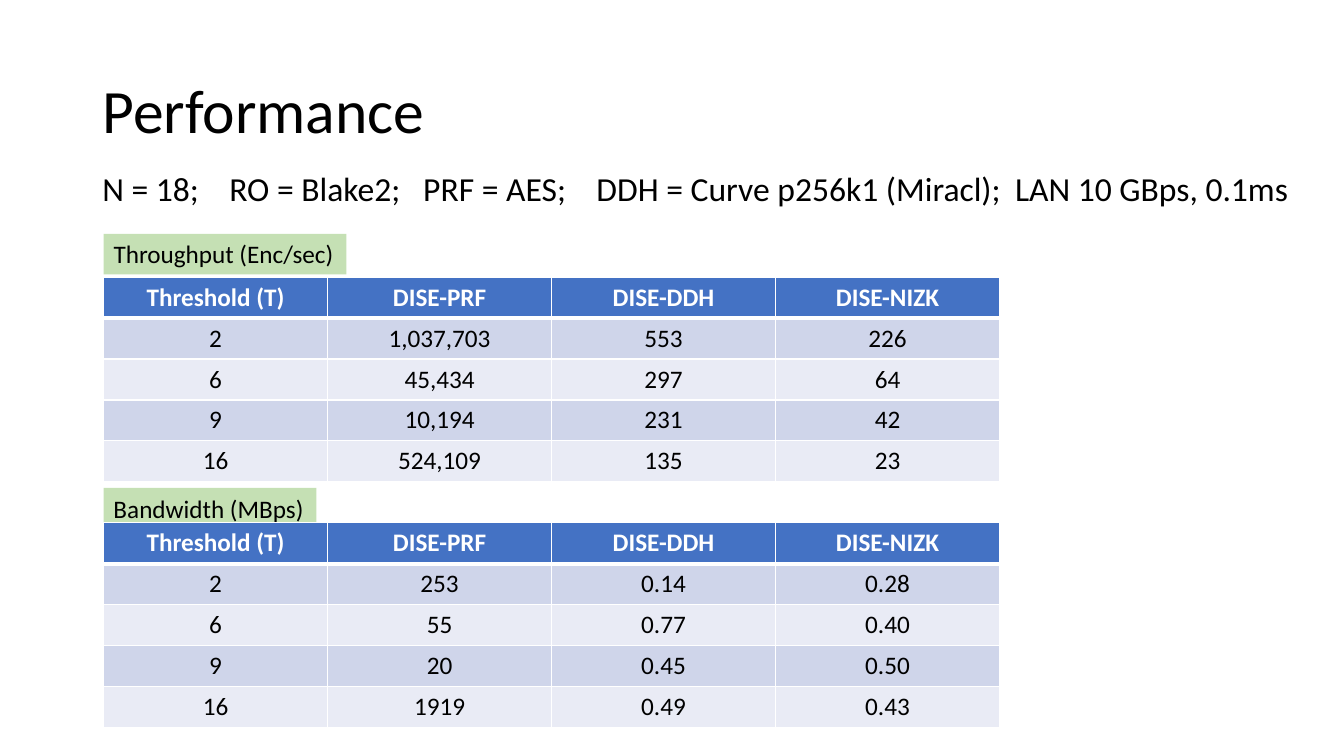
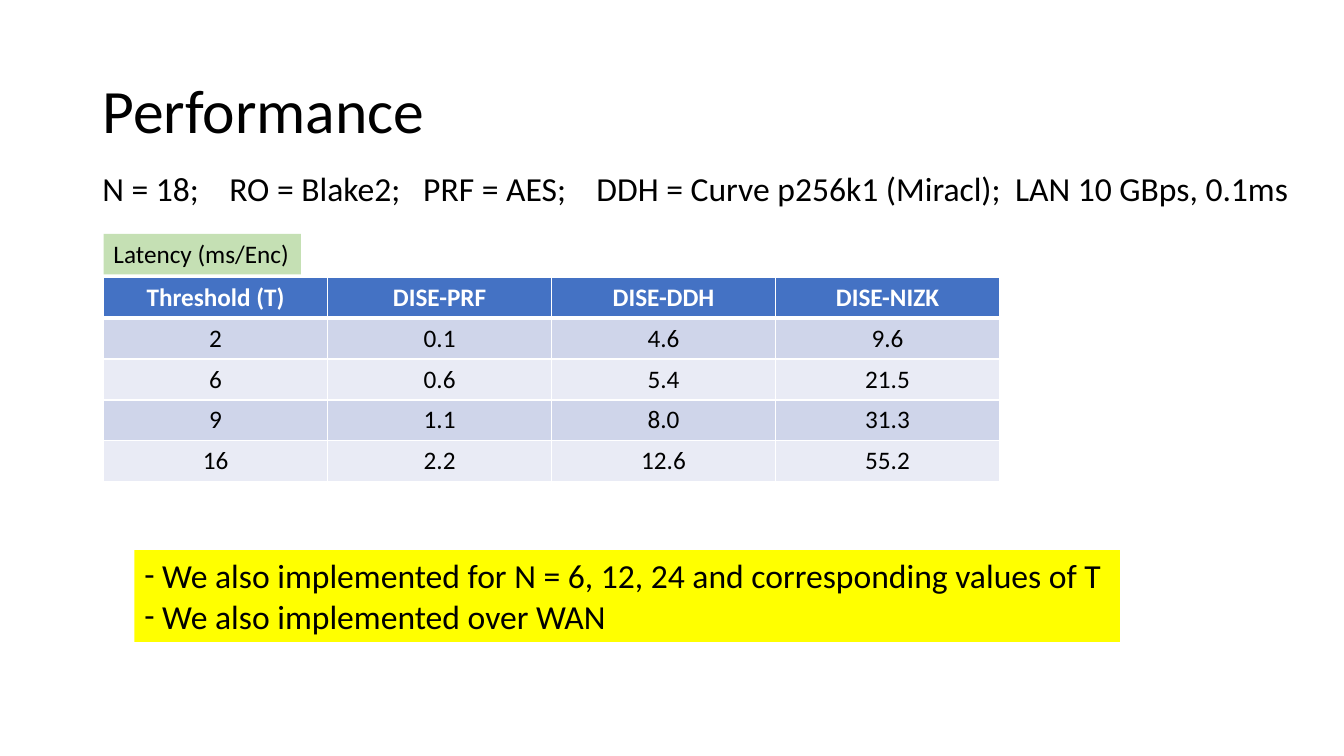
from lxml.etree import SubElement
from pptx import Presentation
from pptx.dml.color import RGBColor
from pptx.enum.shapes import MSO_SHAPE
from pptx.enum.text import MSO_ANCHOR, MSO_AUTO_SIZE, PP_ALIGN
from pptx.oxml import parse_xml
from pptx.oxml.ns import nsdecls, qn
from pptx.util import Pt

COLORS = {
    "ink": "000000", "white": "FFFFFF", "header": "4472C4", "odd": "CFD5EA",
    "even": "E9EBF5", "label": "C5E0B4", "note": "FFFF00",
}
FONT = "Calibri"
STYLES = {
    "title": {"size": Pt(44), "bold": False},
    "body": {"size": Pt(24), "bold": False},
    "label": {"size": Pt(18), "bold": False},
    "header": {"size": Pt(18), "bold": True},
}
LEFT, TABLE_W, ROW_H, LABEL_H = 74, 640, 29.25, 29
HEADERS = ["Threshold (T)", "DISE-PRF", "DISE-DDH", "DISE-NIZK"]
THRESHOLDS = ["2", "6", "9", "16"]
SETUP = ["N = 18;", "RO = Blake2;", "PRF = AES;",
         "DDH = Curve p256k1 (Miracl);", "LAN 10 GBps, 0.1ms"]
SETUP_TABS = [90.75, 229.25, 353, 652]
THROUGHPUT = [["1,037,703", "553", "226"], ["45,434", "297", "64"],
              ["10,194", "231", "42"], ["524,109", "135", "23"]]
BANDWIDTH = [["253", "0.14", "0.28"], ["55", "0.77", "0.40"],
             ["20", "0.45", "0.50"], ["1919", "0.49", "0.43"]]
LATENCY = [["0.1", "4.6", "9.6"], ["0.6", "5.4", "21.5"],
           ["1.1", "8.0", "31.3"], ["2.2", "12.6", "55.2"]]
NOTES = ["We also implemented for N = 6, 12, 24 and corresponding values of T",
         "We also implemented over WAN"]


def rgb(name):
    return RGBColor.from_string(COLORS[name])


def write(p, text, style, color="ink", align=PP_ALIGN.LEFT):
    p.alignment = align
    r = p.add_run()
    r.text = text
    for name, value in {"name": FONT, **STYLES[style]}.items():
        setattr(r.font, name, value)
    r.font.color.rgb = rgb(color)


def add_panel(slide, box, color):
    sp = slide.shapes.add_shape(MSO_SHAPE.RECTANGLE, *map(Pt, box))
    sp.shadow.inherit = False
    sp.fill.solid()
    sp.fill.fore_color.rgb = rgb(color)
    sp.line.fill.background()
    tf = sp.text_frame
    tf.word_wrap = True
    tf.vertical_anchor = MSO_ANCHOR.TOP
    return tf


def add_setup(slide, box):
    tf = slide.shapes.add_textbox(*map(Pt, box)).text_frame
    tf.word_wrap = True
    tf.margin_right = 0
    p = tf.paragraphs[0]
    tabs = SubElement(p._p.get_or_add_pPr(), qn("a:tabLst"))
    for pos in SETUP_TABS:
        SubElement(tabs, qn("a:tab"), pos=str(int(Pt(pos))), algn="l")
    write(p, "\t".join(SETUP), "body")


def add_slide(prs, title):
    slide = prs.slides.add_slide(prs.slide_layouts[5])
    sp = slide.shapes.title
    for name, value in {"left": 66, "top": 29, "width": 828, "height": 104}.items():
        setattr(sp, name, Pt(value))
    tf = sp.text_frame
    tf.auto_size = MSO_AUTO_SIZE.NONE
    tf.vertical_anchor = MSO_ANCHOR.MIDDLE
    p = tf.paragraphs[0]
    p.line_spacing = 0.9
    write(p, title, "title")
    add_setup(slide, (66, 116.75, 864, 36))
    return slide


def format_cell(cell, fill, widths):
    cell.fill.solid()
    cell.fill.fore_color.rgb = rgb(fill)
    tcPr = cell._tc.get_or_add_tcPr()
    for i, (side, width) in enumerate(widths.items()):
        tcPr.insert(i, parse_xml(
            f'<a:ln{side} {nsdecls("a")} w="{int(Pt(width))}"><a:solidFill>'
            f'<a:srgbClr val="{COLORS["white"]}"/></a:solidFill></a:ln{side}>'))


def add_results(slide, left, top, label, label_w, values, table_dy=31):
    tf = add_panel(slide, (left, top, label_w, LABEL_H), "label")
    write(tf.paragraphs[0], label, "label")
    rows = [HEADERS] + [[t, *row] for t, row in zip(THRESHOLDS, values)]
    table = slide.shapes.add_table(
        len(rows), len(HEADERS), Pt(left), Pt(top + table_dy),
        Pt(TABLE_W), Pt(ROW_H * len(rows))).table
    for i, row in enumerate(rows):
        table.rows[i].height = Pt(ROW_H)
        fill = "header" if i == 0 else "odd" if i % 2 else "even"
        style, color = ("label", "ink") if i else ("header", "white")
        widths = {"L": 1, "R": 1, "T": 3 if i == 1 else 1, "B": 1 if i else 3}
        for j, text in enumerate(row):
            cell = table.cell(i, j)
            format_cell(cell, fill, widths)
            write(cell.text_frame.paragraphs[0], text, style, color, PP_ALIGN.CENTER)


def add_notes_panel(slide, box):
    tf = add_panel(slide, box, "note")
    for i, text in enumerate(NOTES):
        p = tf.add_paragraph() if i else tf.paragraphs[0]
        pPr = p._p.get_or_add_pPr()
        indent = int(Pt(12.75))
        pPr.set("marL", str(indent))
        pPr.set("indent", str(-indent))
        SubElement(pPr, qn("a:buFont"), typeface=FONT)
        SubElement(pPr, qn("a:buChar"), char="-")
        write(p, text, "body")


def main():
    prs = Presentation()
    prs.slide_width, prs.slide_height = Pt(960), Pt(540)

    slide = add_slide(prs, "Performance")
    add_results(slide, LEFT, 167, "Throughput (Enc/sec)", 173.5, THROUGHPUT)
    add_results(slide, LEFT, 348.5, "Bandwidth (MBps)", 152, BANDWIDTH, table_dy=25)

    slide = add_slide(prs, "Performance")
    add_results(slide, LEFT, 167, "Latency (ms/Enc)", 141, LATENCY)
    add_notes_panel(slide, (96, 393, 704, 65.5))

    prs.save("out.pptx")


if __name__ == "__main__":
    main()
